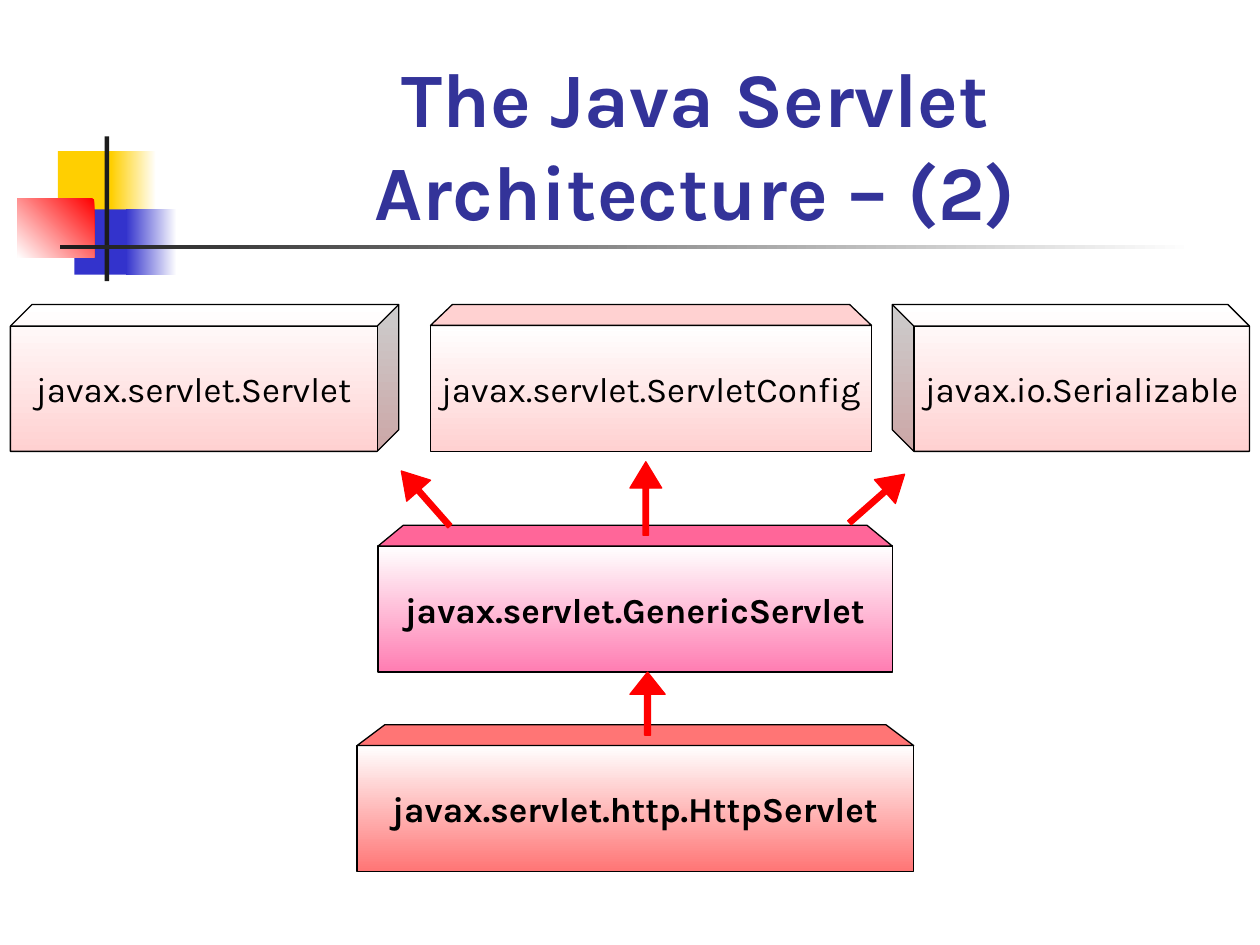
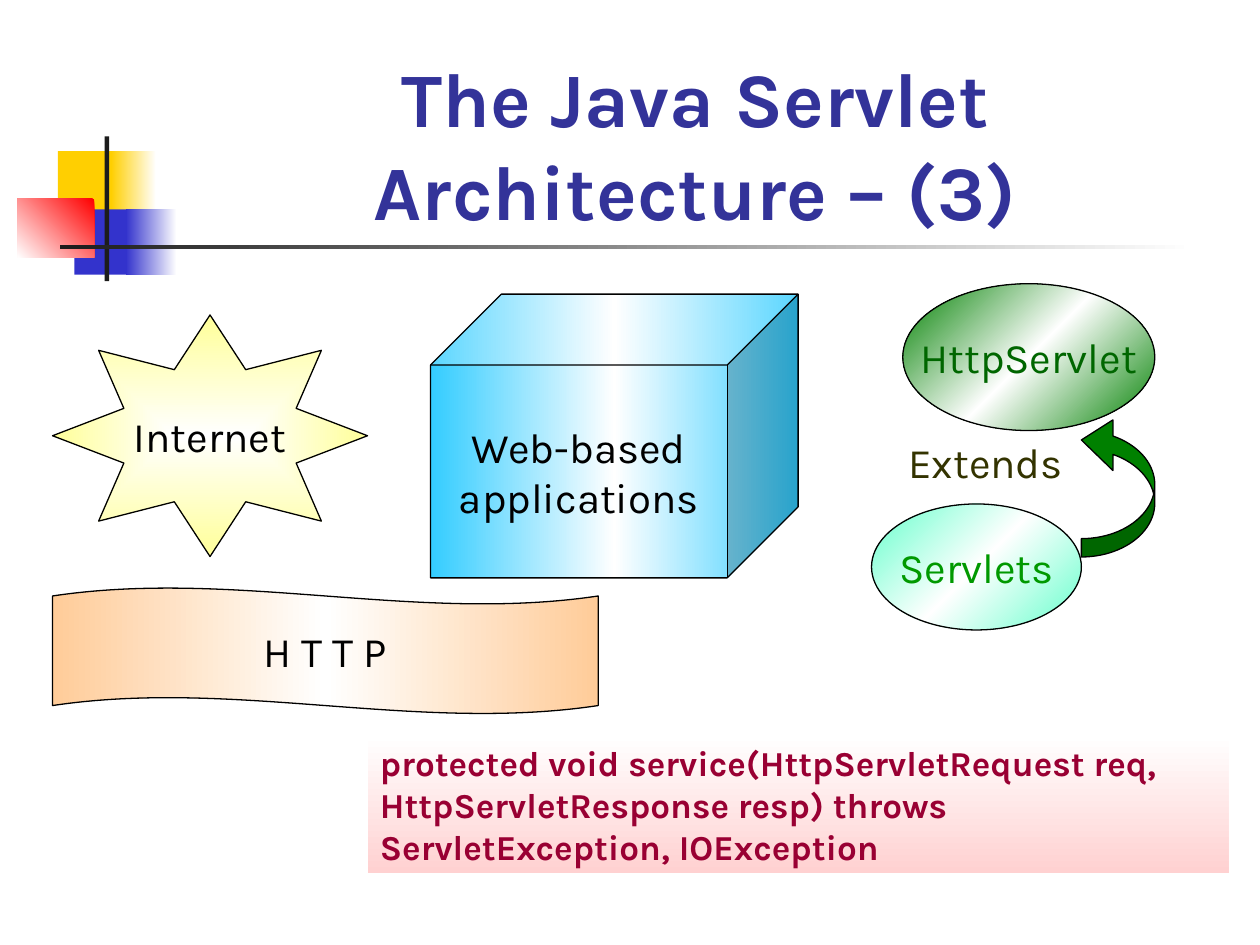
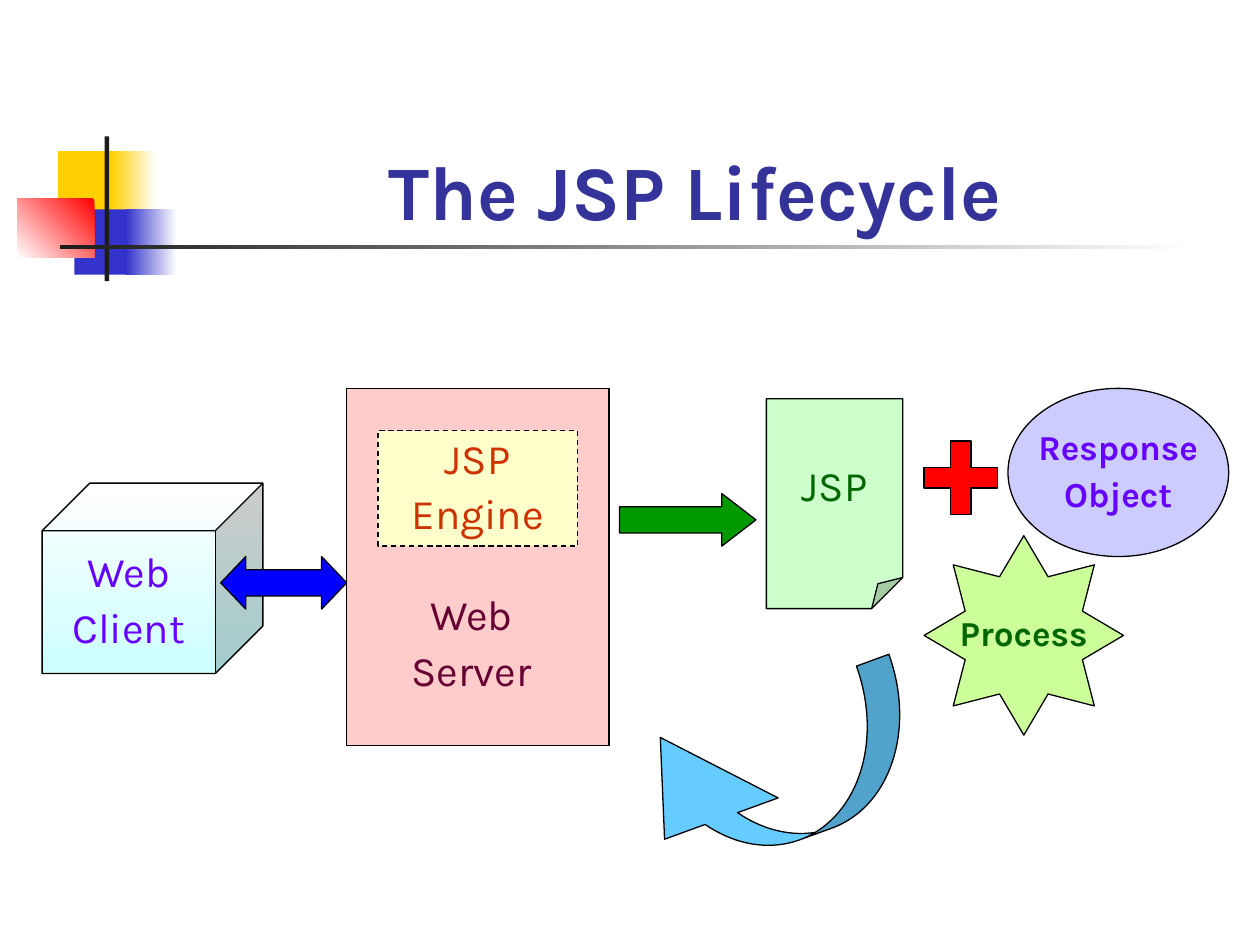
"""Build three slides on the Java Servlet architecture and the JSP lifecycle."""
from lxml import etree
from pptx import Presentation
from pptx.dml.color import RGBColor
from pptx.enum.dml import MSO_LINE
from pptx.enum.shapes import MSO_SHAPE
from pptx.enum.text import MSO_ANCHOR, MSO_AUTO_SIZE, PP_ALIGN
from pptx.oxml.ns import qn
from pptx.util import Cm, Pt

RECT, OVAL, CUBE = MSO_SHAPE.RECTANGLE, MSO_SHAPE.OVAL, MSO_SHAPE.CUBE
STAR, WAVE, CROSS = MSO_SHAPE.STAR_8_POINT, MSO_SHAPE.WAVE, MSO_SHAPE.CROSS
LID, PAGE = MSO_SHAPE.TRAPEZOID, MSO_SHAPE.FOLDED_CORNER
UP, RIGHT, BOTH = MSO_SHAPE.UP_ARROW, MSO_SHAPE.RIGHT_ARROW, MSO_SHAPE.LEFT_RIGHT_ARROW
BEND, SWEEP = MSO_SHAPE.CURVED_LEFT_ARROW, MSO_SHAPE.CURVED_UP_ARROW
TOP, MIDDLE, BOTTOM = MSO_ANCHOR.TOP, MSO_ANCHOR.MIDDLE, MSO_ANCHOR.BOTTOM
LEFT, CENTER = PP_ALIGN.LEFT, PP_ALIGN.CENTER
DASH, FIXED = MSO_LINE.DASH, MSO_AUTO_SIZE.NONE

FONT = "Karla"
BLACK, WHITE, RED, INK = "000000", "FFFFFF", "FF0000", "1C1C1C"
GOLD, BLUE, NAVY = "FFCF01", "3333CC", "333399"
ROSE, PINK, GREEN, VIOLET = "FFD1D1", "FFCCCC", "006600", "6600FF"


def paint(fill, color):
    """Fill with one solid hex colour."""
    fill.solid()
    fill.fore_color.rgb = RGBColor.from_string(color)


def draw(slide, kind, box, fill=None, line=BLACK, adj=(), turn=0, flip=None,
         text="", size=24, color=BLACK, bold=False, lead=0,
         align=CENTER, anchor=MIDDLE, wrap=False):
    """Add a shape; a gradient fill is (stops, angle), or angle None for a centred one."""
    shape = slide.shapes.add_shape(kind, *map(Cm, box))
    shape.shadow.inherit = False
    shape.rotation = turn
    props = shape.element.spPr
    if adj:
        guides = props.find(qn("a:prstGeom")).find(qn("a:avLst"))
        guides.clear()
        for i, value in enumerate(adj, 1):
            etree.SubElement(guides, qn("a:gd"), name=f"adj{i}" if len(adj) > 1 else "adj",
                             fmla=f"val {round(value * 100000)}")
    if flip:
        props.find(qn("a:xfrm")).set(flip, "1")
    if fill is None:
        shape.fill.background()
    elif isinstance(fill, str):
        paint(shape.fill, fill)
    else:
        stops, angle = fill
        shape.fill.gradient()
        grad = props.find(qn("a:gradFill"))
        grad.clear()
        grad.set("rotWithShape", "1")
        steps = etree.SubElement(grad, qn("a:gsLst"))
        for i, stop in enumerate(stops):
            step = etree.SubElement(steps, qn("a:gs"), pos=str(i * 100000 // (len(stops) - 1)))
            etree.SubElement(step, qn("a:srgbClr"), val=stop)
        if angle is None:
            way = etree.SubElement(grad, qn("a:path"), path="rect")
            etree.SubElement(way, qn("a:fillToRect"), dict.fromkeys("ltrb", "50000"))
        else:
            etree.SubElement(grad, qn("a:lin"), ang=str(angle * 60000), scaled="0")
    if line:
        paint(shape.line.fill, line)
        shape.line.width = Pt(0.75)
    else:
        shape.line.fill.background()
    if text:
        frame = shape.text_frame
        frame.text = text
        frame.word_wrap = wrap
        frame.vertical_anchor = anchor
        for para in frame.paragraphs:
            para.alignment = align
            para.font.name, para.font.size, para.font.bold = FONT, Pt(size), bold
            paint(para.font.fill, color)
            if lead:
                para.line_spacing, para.space_before = 0.9, Pt(lead)
    return shape


deck = Presentation()
deck.slide_width, deck.slide_height = Cm(25.4), Cm(19.05)
layout = deck.slide_layouts[5]

slides = []
for name in ("The Java Servlet Architecture – (2)",
             "The Java Servlet Architecture – (3)",
             "The JSP Lifecycle"):
    slide = deck.slides.add_slide(layout)
    title = slide.shapes.title
    title.left, title.top, title.width, title.height = map(Cm, (3.2, 1.7, 21.64, 3.18))
    frame = title.text_frame
    frame.text = name
    frame.auto_size, frame.word_wrap, frame.vertical_anchor = FIXED, True, BOTTOM
    para = frame.paragraphs[0]
    para.alignment = CENTER
    para.font.name, para.font.size, para.font.bold = FONT, Pt(44), True
    paint(para.font.fill, NAVY)
    slides.append(slide)
tiers, parts, cycle = slides

bands = [
    ((1.17, 3.05, 1.22, 1.32), GOLD),
    ((2.24, 3.05, 0.91, 1.32), ((WHITE, GOLD), 180)),
    ((1.5, 4.22, 1.17, 1.32), BLUE),
    ((2.54, 4.22, 1.02, 1.32), ((WHITE, BLUE), 180)),
    ((0.35, 4.01, 1.55, 1.18), ((RED, WHITE), 135)),
    ((2.11, 2.75, 0.09, 2.92), INK),
    ((1.22, 4.94, 22.86, 0.09), ((WHITE, INK), 180)),
]
for n, (box, fill) in enumerate(bands):
    band = draw(tiers, RECT, box, fill, line=None)
    band.element.nvSpPr.cNvPr.id = 20 + n
    layout.shapes.element.insert(2 + n, band.element)

blush = ((WHITE, ROSE), 90)
for left, wide, flip, text in ((0.21, 7.83, None, "javax.servlet.Servlet"),
                               (17.99, 7.2, "flipH", "javax.io.Serializable")):
    draw(tiers, CUBE, (left, 6.14, wide, 2.96), blush, adj=[0.147], flip=flip,
         text=text, size=20)

for left, top, wide, slant, base, lid, bold, text in (
        (8.68, 6.56, 8.89, 0.44, ROSE, ROSE, False, "javax.servlet.ServletConfig"),
        (7.62, 11.01, 10.37, 0.51, "FF7DB2", "FF6699", True, "javax.servlet.GenericServlet"),
        (7.2, 15.03, 11.22, 0.56, "FF7575", "FF7575", True, "javax.servlet.http.HttpServlet")):
    draw(tiers, RECT, (left, top, wide, 2.54), ((WHITE, base), 90),
         text=text, size=20, bold=bold)
    draw(tiers, LID, (left, top - 0.42, wide, 0.42), lid, adj=[slant / 0.42])

draw(tiers, UP, (12.7, 13.55, 0.71, 1.27), RED, RED, [0.171, 0.63])
for left, turn in ((12.7, 0), (17.36, 48.6), (8.26, 318.6)):
    draw(tiers, UP, (left, 9.31, 0.64, 1.48), RED, RED, [0.171, 0.827], turn)

draw(parts, STAR, (1.06, 6.35, 6.35, 4.87), ((WHITE, "FFFF99"), None), adj=[0.296],
     text="Internet")
draw(parts, WAVE, (1.06, 11.85, 11, 2.54), (("FFCC99", WHITE, "FFCC99"), 180), adj=[0.065, 0],
     text="H T T P")
draw(parts, OVAL, (17.57, 10.16, 4.23, 2.54), (("66FFCC", WHITE, "66FFCC"), 225),
     text="Servlets", color="009900")
draw(parts, OVAL, (18.2, 5.72, 5.08, 2.96), (("008000", WHITE, "008000"), 225),
     text="HttpServlet", color=GREEN)
draw(parts, BEND, (21.8, 8.36, 1.48, 2.87), "008000", adj=[0.25, 0.69, 0.43], flip="flipV")
draw(parts, RECT, (18.06, 8.68, 3.66, 1.27), line=None, text="Extends", color="333300",
     align=LEFT, anchor=TOP)
draw(parts, RECT, (7.41, 14.82, 17.36, 2.79), blush, line=None,
     text="protected void service(HttpServletRequest req, HttpServletResponse resp) "
          "throws ServletException, IOException",
     size=20, color="990033", bold=True, align=LEFT, anchor=TOP, wrap=True)
draw(parts, CUBE, (8.68, 5.93, 7.41, 5.72), (("33CCFF", WHITE, "33CCFF"), 180), adj=[0.25],
     text="Web-based\napplications")

draw(cycle, RECT, (6.99, 7.83, 5.29, 7.2), PINK)
draw(cycle, RECT, (7.98, 11.86, 3.05, 2.31), PINK, line=None, text="Web\nServer",
     color="660033", lead=6, anchor=TOP)
draw(cycle, CUBE, (0.85, 9.74, 4.45, 3.84), ((WHITE, "CCFFFF"), 90), adj=[0.25],
     text="Web\nClient", color=VIOLET, lead=6)
engine = draw(cycle, RECT, (7.62, 8.68, 4.02, 2.33), "FFFFCC", text="JSP\nEngine",
              color="CC3300", lead=6)
engine.line.dash_style = DASH
draw(cycle, PAGE, (15.45, 8.04, 2.75, 4.23), "CCFFCC", adj=[0.228], text="JSP",
     color=GREEN, lead=6)
draw(cycle, OVAL, (20.32, 7.83, 4.45, 3.39), "CCCCFF", text="Response\nObject",
     size=20, color=VIOLET, bold=True, lead=5)
draw(cycle, STAR, (18.63, 10.8, 4.02, 4.02), "CCFF99", adj=[0.318], text="Process",
     size=20, color=GREEN, bold=True, lead=5)
draw(cycle, SWEEP, (12.48, 14.15, 6.12, 2.9), "66CCFF", adj=[0.24, 0.84, 0.675],
     turn=340, flip="flipH")
draw(cycle, RIGHT, (12.49, 9.95, 2.75, 1.06), "009900", adj=[0.5, 0.65])
draw(cycle, CROSS, (18.63, 8.89, 1.48, 1.48), RED, adj=[0.359])
draw(cycle, BOTH, (4.45, 11.22, 2.54, 1.06), "0000FF", adj=[0.5, 0.477])

deck.save("out.pptx")
